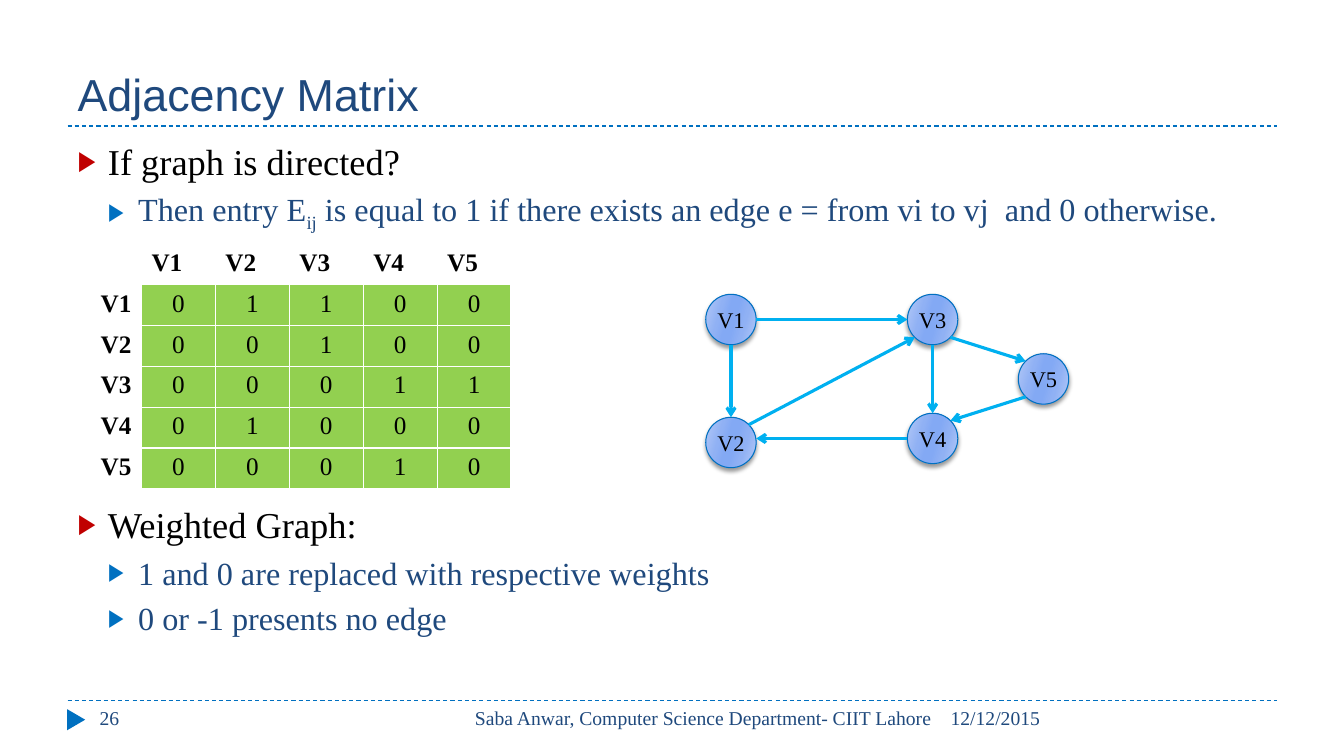
from dataclasses import dataclass
from math import cos, radians, sin

from lxml.etree import SubElement
from pptx import Presentation
from pptx.dml.color import RGBColor
from pptx.enum.dml import MSO_LINE
from pptx.enum.shapes import MSO_CONNECTOR, MSO_SHAPE
from pptx.enum.text import MSO_ANCHOR, MSO_AUTO_SIZE, PP_ALIGN
from pptx.oxml.ns import qn
from pptx.util import Emu, Pt

COLORS = {
    "rule": "0070C0", "navy": "1F497D", "black": "000000", "red": "C00000",
    "green": "92D050", "white": "FFFFFF", "edge": "00B0F0",
    "pale": "B4C9F6", "mid": "90B1F4", "deep": "83A9F4",
}
SERIF = "Times New Roman"
NODE_SIZE = 50
NODE_GRADIENT = [(0, "pale"), (30, "mid"), (45, "deep"),
                 (55, "deep"), (73, "mid"), (100, "pale")]


@dataclass
class Bullet:
    runs: list[str]
    level: int = 0
    before: int = 6


@dataclass
class Footer:
    text: str
    left: int
    width: int
    align: PP_ALIGN = PP_ALIGN.LEFT


@dataclass
class Node:
    left: int
    top: int


@dataclass
class Edge:
    start: str
    start_site: int
    end: str
    end_site: int
    level: bool = False


BULLETS = [
    Bullet(["If graph is directed?"], before=0),
    Bullet(["Then entry E", "ij", " is equal to 1 if there exists an edge e = from vi to vj  and 0 otherwise."], 1, 5),
    Bullet(["Weighted Graph:"], before=192),
    Bullet(["1 and 0 are replaced with respective weights"], 1, 5),
    Bullet(["0 or -1 presents no edge"], 1, 5),
]
FOOTERS = [
    Footer("12/12/2015", 933, 334),
    Footer("Saba Anwar, Computer Science Department- CIIT Lahore", 423, 511, PP_ALIGN.RIGHT),
    Footer("26", 89, 289),
]
MATRIX = ["01100", "00100", "00011", "01000", "00010"]
NODES = {"V1": Node(700, 292), "V2": Node(700, 414), "V3": Node(900, 292),
         "V4": Node(900, 410), "V5": Node(1010, 351)}
EDGES = [
    Edge("V1", 6, "V3", 2), Edge("V1", 4, "V2", 0), Edge("V2", 7, "V3", 3),
    Edge("V3", 4, "V4", 0), Edge("V3", 5, "V5", 1), Edge("V5", 3, "V4", 7),
    Edge("V4", 2, "V2", 6, level=True),
]


def px(value: float) -> Emu:
    return Emu(round(value * 9144))


def rgb(name: str) -> RGBColor:
    return RGBColor.from_string(COLORS[name])


def set_font(paragraph, size: int, color: str, name: str = SERIF, bold: bool = False) -> None:
    font = paragraph.font
    font.size, font.name, font.bold = Pt(size), name, bold
    font.color.rgb = rgb(color)


def place(shape, left: int, top: int, width: int, height: int) -> None:
    shape.left, shape.top, shape.width, shape.height = map(px, (left, top, width, height))


def add_line(shapes, start: tuple, end: tuple, color: str, width: float):
    line = shapes.add_connector(MSO_CONNECTOR.STRAIGHT, *map(px, (*start, *end)))
    line.line.color.rgb = rgb(color)
    line.line.width = Pt(width)
    SubElement(line._element.spPr, qn("a:effectLst"))
    return line


def add_frame(slide) -> None:
    for y in (695, 125):
        add_line(slide.shapes, (67, y), (1267, y), "rule", 0.75).line.dash_style = MSO_LINE.DASH
    marker = slide.shapes.add_shape(MSO_SHAPE.ISOSCELES_TRIANGLE, *map(px, (65, 705, 21, 18)))
    marker.rotation = 90
    marker.shadow.inherit = False
    marker.fill.solid()
    marker.fill.fore_color.rgb = rgb("rule")
    marker.line.fill.background()
    for footer in FOOTERS:
        box = slide.shapes.add_textbox(*map(px, (footer.left, 695, footer.width, 40)))
        box.text_frame.word_wrap = True
        paragraph = box.text_frame.paragraphs[0]
        paragraph.text, paragraph.alignment = footer.text, footer.align
        set_font(paragraph, 14, "navy")


def fill_title(title) -> None:
    place(title, 67, 17, 1200, 108)
    frame = title.text_frame
    frame.text = "Adjacency Matrix"
    frame.auto_size = MSO_AUTO_SIZE.NONE
    frame.vertical_anchor = MSO_ANCHOR.BOTTOM
    frame.paragraphs[0].alignment = PP_ALIGN.LEFT
    set_font(frame.paragraphs[0], 32, "navy", "Arial")


def fill_body(body) -> None:
    place(body, 67, 133, 1200, 540)
    frame = body.text_frame
    frame.auto_size = MSO_AUTO_SIZE.NONE
    for index, bullet in enumerate(BULLETS):
        paragraph = frame.add_paragraph() if index else frame.paragraphs[0]
        paragraph.level = bullet.level
        for text in bullet.runs:
            run = paragraph.add_run()
            run.text = text
            if text == "ij":
                run._r.get_or_add_rPr().set("baseline", "-25000")
        props = paragraph._p.get_or_add_pPr()
        props.set("marL", str(px(30 * (bullet.level + 1))))
        props.set("indent", str(px(-30)))
        color = SubElement(props, qn("a:buClr"))
        SubElement(color, qn("a:srgbClr"), val=COLORS["rule" if bullet.level else "red"])
        SubElement(props, qn("a:buSzPct"), val="76000")
        SubElement(props, qn("a:buFont"), typeface="Arial")
        SubElement(props, qn("a:buChar"), char="▶")
        paragraph.space_before = Pt(bullet.before)
        set_font(paragraph, *((23, "navy") if bullet.level else (26, "black")))


def add_borders(cell) -> None:
    props = cell._tc.get_or_add_tcPr()
    for side in ("lnL", "lnR", "lnT", "lnB"):
        border = SubElement(props, qn(f"a:{side}"), w=str(Pt(1)))
        SubElement(SubElement(border, qn("a:solidFill")), qn("a:srgbClr"), val=COLORS["white"])


def add_matrix(slide) -> None:
    names = list(NODES)
    rows = [["", *names]] + [[name, *entries] for name, entries in zip(names, MATRIX)]
    table = slide.shapes.add_table(6, 6, *map(px, (67, 242, 440, 243))).table
    table.first_row = table.horz_banding = False
    for r, row in enumerate(rows):
        for c, text in enumerate(row):
            cell = table.cell(r, c)
            is_entry = r > 0 and c > 0
            if is_entry:
                add_borders(cell)
                cell.fill.solid()
                cell.fill.fore_color.rgb = rgb("green")
            else:
                cell.fill.background()
            paragraph = cell.text_frame.paragraphs[0]
            paragraph.text = text
            paragraph.alignment = (PP_ALIGN.LEFT if r == 0 else
                                   PP_ALIGN.CENTER if is_entry else PP_ALIGN.RIGHT)
            set_font(paragraph, 18, "black", bold=not is_entry)


def add_node(shapes, label: str, node: Node):
    circle = shapes.add_shape(MSO_SHAPE.OVAL, *map(px, (node.left, node.top, NODE_SIZE, NODE_SIZE)))
    circle.fill.gradient()
    circle.fill.gradient_angle = 344
    stops = circle._element.spPr.find(f".//{qn('a:gsLst')}")
    stops[:] = []
    for position, color in NODE_GRADIENT:
        stop = SubElement(stops, qn("a:gs"), pos=str(position * 1000))
        SubElement(stop, qn("a:srgbClr"), val=COLORS[color])
    circle.line.color.rgb = rgb("rule")
    circle.line.width = Pt(0.75)
    circle.shadow.inherit = False
    effects = circle._element.spPr.find(qn("a:effectLst"))
    shadow = SubElement(effects, qn("a:outerShdw"), blurRad=str(Pt(3)), dist=str(Pt(2)),
                        dir="5400000", rotWithShape="0")
    SubElement(SubElement(shadow, qn("a:srgbClr"), val=COLORS["black"]), qn("a:alpha"), val="40000")
    frame = circle.text_frame
    frame.word_wrap = False
    frame.vertical_anchor = MSO_ANCHOR.MIDDLE
    frame.text = label
    frame.paragraphs[0].alignment = PP_ALIGN.CENTER
    set_font(frame.paragraphs[0], 16, "black")
    return circle


def site_point(node: Node, site: int) -> tuple[float, float]:
    radius, angle = NODE_SIZE / 2, radians(45 * site)
    return node.left + radius * (1 - sin(angle)), node.top + radius * (1 - cos(angle))


def add_graph(slide) -> None:
    shapes = slide.shapes.add_group_shape().shapes
    circles = {label: add_node(shapes, label, node) for label, node in NODES.items()}
    for edge in EDGES:
        start = site_point(NODES[edge.start], edge.start_site)
        end = site_point(NODES[edge.end], edge.end_site)
        if edge.level:
            end = (end[0], start[1])
        arrow = add_line(shapes, start, end, "edge", 2.25)
        SubElement(arrow._element.spPr.find(qn("a:ln")), qn("a:tailEnd"), type="arrow")
        joints = arrow._element.find(f".//{qn('p:cNvCxnSpPr')}")
        SubElement(joints, qn("a:stCxn"), id=str(circles[edge.start].shape_id), idx=str(edge.start_site))
        if not edge.level:
            SubElement(joints, qn("a:endCxn"), id=str(circles[edge.end].shape_id), idx=str(edge.end_site))


def main() -> None:
    deck = Presentation()
    deck.slide_width, deck.slide_height = px(1333), px(750)
    slide = deck.slides.add_slide(deck.slide_layouts[1])
    add_frame(slide)
    fill_title(slide.shapes.title)
    fill_body(slide.placeholders[1])
    add_matrix(slide)
    add_graph(slide)
    deck.save("out.pptx")


if __name__ == "__main__":
    main()
